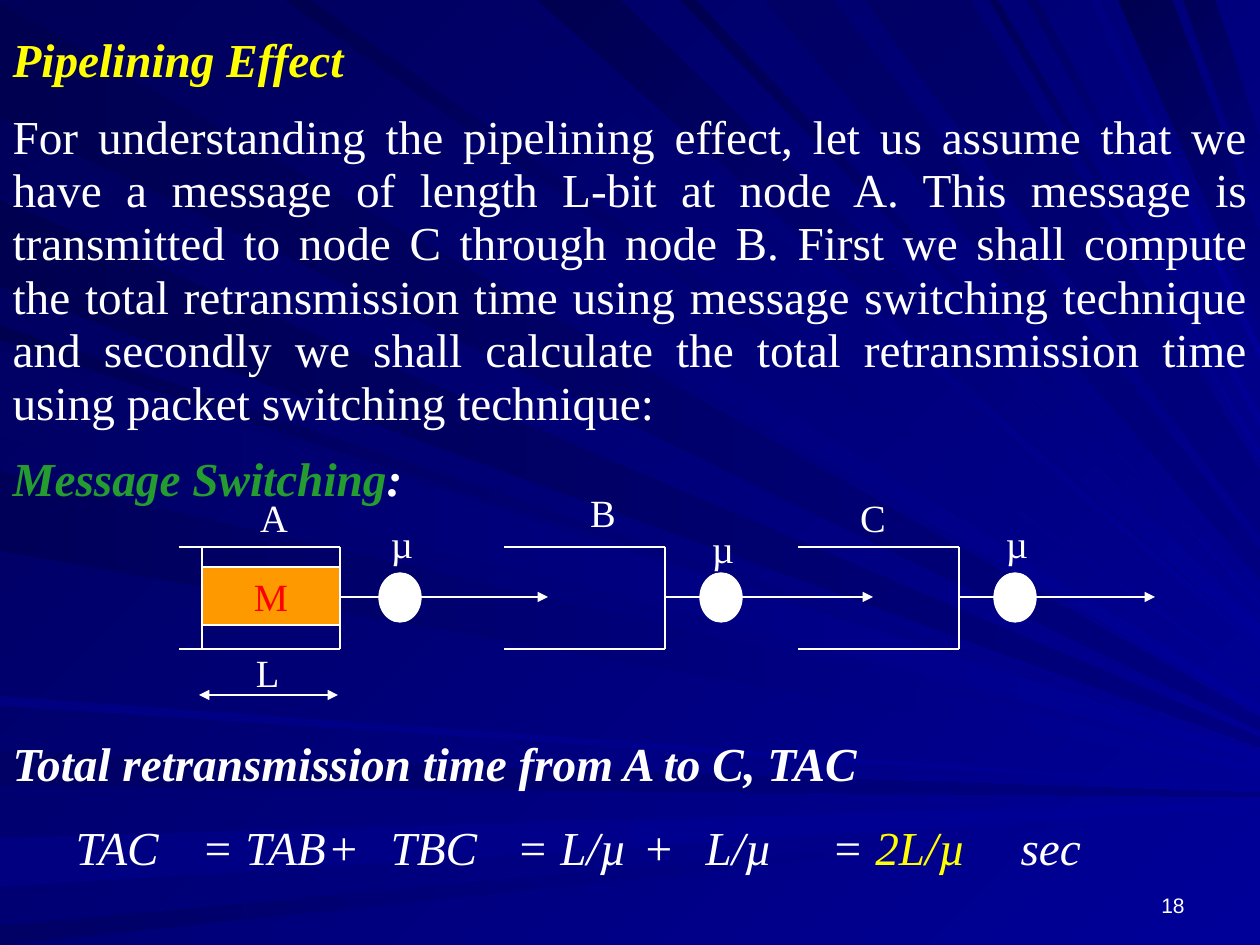
from lxml.etree import SubElement
from pptx import Presentation
from pptx.dml.color import RGBColor
from pptx.enum.shapes import MSO_CONNECTOR, MSO_SHAPE
from pptx.enum.text import MSO_ANCHOR, MSO_AUTO_SIZE, PP_ALIGN
from pptx.oxml.ns import qn
from pptx.util import Emu, Pt

SCALE = 914400 / 126
WIDTH, HEIGHT = 1260, 945
SERIF = "Times New Roman"
SANS = "Arial"

WHITE = RGBColor(0xFF, 0xFF, 0xFF)
YELLOW = RGBColor(0xFF, 0xFF, 0x00)
GREEN = RGBColor(0x24, 0x9C, 0x2F)
ORANGE = RGBColor(0xFF, 0x99, 0x00)
RED = RGBColor(0xFF, 0x00, 0x00)
NIGHT = RGBColor(0x00, 0x00, 0x58)
DUSK = RGBColor(0x00, 0x00, 0x51)
DAWN = RGBColor(0x00, 0x00, 0x65)
NAVY = RGBColor(0x00, 0x00, 0x80)
BLUE = RGBColor(0x00, 0x00, 0x99)

# Start along the edge, breadth, first and last colour
LEFT_HUB = (1400, 798)
LEFT_RAYS = [
    (3, 114, DUSK, NAVY), (751, 34, DAWN, NAVY), (838, 49, NAVY, BLUE),
    (926, 19, DAWN, BLUE), (325, 15, DUSK, BLUE), (200, 87, DUSK, NAVY),
    (350, 87, DAWN, BLUE), (471, 80, NIGHT, BLUE), (696, 10, NAVY, BLUE),
]
TOP_HUB = (1491, 848)
TOP_RAYS = [
    (33, 94, NIGHT, BLUE), (501, 23, DAWN, BLUE), (537, 83, DUSK, BLUE),
    (680, 16, DUSK, BLUE), (764, 69, DAWN, NAVY), (1118, 54, DUSK, NAVY),
    (1183, 32, NIGHT, NAVY), (284, 27, DUSK, BLUE), (864, 106, DAWN, NAVY),
    (989, 9, NIGHT, BLUE), (1027, 11, DAWN, BLUE), (1090, 9, NAVY, BLUE),
]

INTRO = (
    "For understanding the pipelining effect, let us assume that we have a message "
    "of length L-bit at node A. This message is transmitted to node C through node B. "
    "First we shall compute the total retransmission time using message switching "
    "technique and secondly we shall calculate the total retransmission time using "
    "packet switching technique:"
)
STOPS = [138, 247, 406, 460, 573, 718, 783, 899, 1054]

# Name, name at, queue end, disc left, arrow tip, top of rate
NODES = [
    ("A", (223, 488), 340, 379, 548, 514),
    ("B", (552, 483), 665, 700, 873, 519),
    ("C", (822, 488), 959, 994, 1155, 514),
]
TOP, MID, BASE = 547, 597, 649


def px(count):
    return Emu(round(count * SCALE))


def set_font(font, size, color, name=SERIF):
    font.size, font.name, font.color.rgb = Pt(size), name, color


def fade(fill, start, end, angle):
    """Fill from start to end, turned clockwise by angle."""
    fill.gradient()
    fill.gradient_angle = -angle
    for stop, color in zip(fill.gradient_stops, (start, end)):
        stop.color.rgb = color


def reach(point, hub):
    """Find where the line from point to hub meets the right edge."""
    (x, y), (hub_x, hub_y) = point, hub
    return WIDTH, round(y + (hub_y - y) * (WIDTH - x) / (hub_x - x))


def add_ray(shapes, near, far, hub, start, end, angle):
    pen = shapes.build_freeform(*near, scale=SCALE)
    pen.add_line_segments([far, reach(far, hub), reach(near, hub)], close=True)
    ray = pen.convert_to_shape()
    ray.shadow.inherit = False
    ray.line.fill.background()
    fade(ray.fill, start, end, angle)


def add_rays(slide):
    group = slide.shapes.add_group_shape()
    for x, size, start, end in TOP_RAYS:
        add_ray(group.shapes, (x, 0), (x + size, 0), TOP_HUB, start, end, 45)
    for y, size, start, end in LEFT_RAYS:
        add_ray(group.shapes, (0, y), (0, y + size), LEFT_HUB, start, end, 0)
    slide.shapes.element.insert(2, group.element)


def add_line(slide, x1, y1, x2, y2, *ends):
    """Draw a white line; ends may name headEnd and tailEnd, in that order."""
    line = slide.shapes.add_connector(
        MSO_CONNECTOR.STRAIGHT, px(x1), px(y1), px(x2), px(y2))
    line.line.color.rgb = WHITE
    line.line.width = Pt(0.75)
    props = line.element.spPr
    for end in ends:
        SubElement(props.find(qn("a:ln")), qn("a:" + end), type="triangle")
    SubElement(props, qn("a:effectLst"))


def add_shape(slide, kind, x, y, w, h, color):
    shape = slide.shapes.add_shape(kind, px(x), px(y), px(w), px(h))
    shape.shadow.inherit = False
    shape.fill.solid()
    shape.fill.fore_color.rgb = color
    shape.line.color.rgb = WHITE
    shape.line.width = Pt(0.75)
    return shape


def write(shape, text, color=WHITE, size=22, name=SERIF, align=PP_ALIGN.CENTER):
    shape.text_frame.word_wrap = True
    para = shape.text_frame.paragraphs[0]
    para.alignment = align
    set_font(para.font, size, color, name)
    para.add_run().text = text


def add_label(slide, text, x, y, w=102, h=58, **style):
    box = slide.shapes.add_textbox(px(x), px(y), px(w), px(h))
    write(box, text, **style)
    return box


def add_para(frame, runs, gap, bold, italic, stops=()):
    """Add a paragraph of (text, colour) runs with gap points before it."""
    para = frame.add_paragraph() if gap else frame.paragraphs[0]
    props = para._p.get_or_add_pPr()
    props.set("marL", "0")
    props.set("indent", "0")
    SubElement(props, qn("a:buNone"))
    if stops:
        tabs = SubElement(props, qn("a:tabLst"))
        for stop in stops:
            SubElement(tabs, qn("a:tab"), pos=str(px(stop)), algn="l")
    para.alignment = PP_ALIGN.LEFT if stops else PP_ALIGN.JUSTIFY
    para.line_spacing = 0.94
    para.space_before = Pt(gap)
    main_color = runs[0][1]
    set_font(para.font, 27, main_color)
    para.font.bold, para.font.italic = bold, italic
    for text, color in runs:
        run = para.add_run()
        run.text = text
        if color != main_color:
            run.font.color.rgb = color


def fill_body(body):
    body.left, body.top, body.width, body.height = px(0), px(29), px(WIDTH), px(844)
    frame = body.text_frame
    frame.auto_size = MSO_AUTO_SIZE.NONE
    add_para(frame, [("Pipelining Effect", YELLOW)], 0, True, True)
    add_para(frame, [(INTRO, WHITE)], 13, False, False)
    add_para(frame, [("Message Switching", GREEN), (":", WHITE)], 13, True, True)
    add_para(frame, [("Total retransmission time from A to C, TAC", WHITE)], 132.5, True, True)
    add_para(frame, [("\tTAC\t= TAB\t+\tTBC\t= L/µ\t+\tL/µ\t= ", WHITE),
                     ("2L/µ", YELLOW), ("\tsec", WHITE)], 17, False, True, STOPS)


def add_node(slide, name, spot, end, disc, tip, rate):
    add_label(slide, name, *spot)
    for y in (TOP, BASE):
        add_line(slide, end - 161, y, end, y)
    add_line(slide, end, TOP, end, BASE)
    add_line(slide, end, MID, disc, MID)
    add_line(slide, disc + 42, MID, tip, MID, "tailEnd")
    add_shape(slide, MSO_SHAPE.OVAL, disc, 573, 42, 49, WHITE)
    add_label(slide, "µ", disc - 28, rate)


def add_message(slide):
    add_line(slide, 202, TOP, 202, BASE)
    box = add_shape(slide, MSO_SHAPE.RECTANGLE, 202, 567, 138, 58, ORANGE)
    write(box, "M", RED)
    add_label(slide, "L", 220, 643, 95, 59)
    add_line(slide, 199, 695, 338, 695, "headEnd", "tailEnd")


def main():
    deck = Presentation()
    deck.slide_width, deck.slide_height = px(WIDTH), px(HEIGHT)
    slide = deck.slides.add_slide(deck.slide_layouts[1])
    fade(slide.background.fill, NIGHT, BLUE, 45)
    title = slide.shapes.title.element
    title.getparent().remove(title)
    add_rays(slide)
    fill_body(slide.placeholders[1])
    for node in NODES:
        add_node(slide, *node)
    add_message(slide)
    page = add_label(slide, "18", 903, 861, 294, 63, size=12, name=SANS, align=PP_ALIGN.RIGHT)
    page.text_frame.vertical_anchor = MSO_ANCHOR.BOTTOM
    deck.save("out.pptx")


if __name__ == "__main__":
    main()
